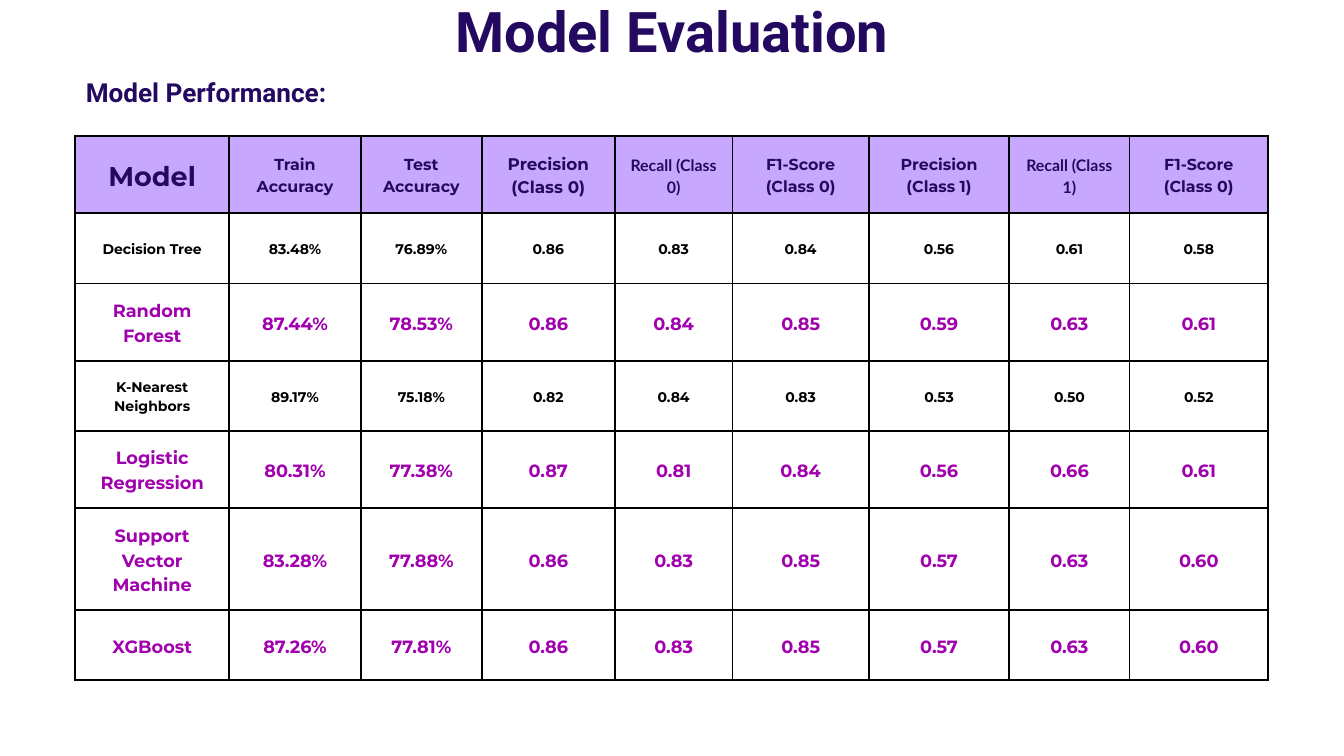
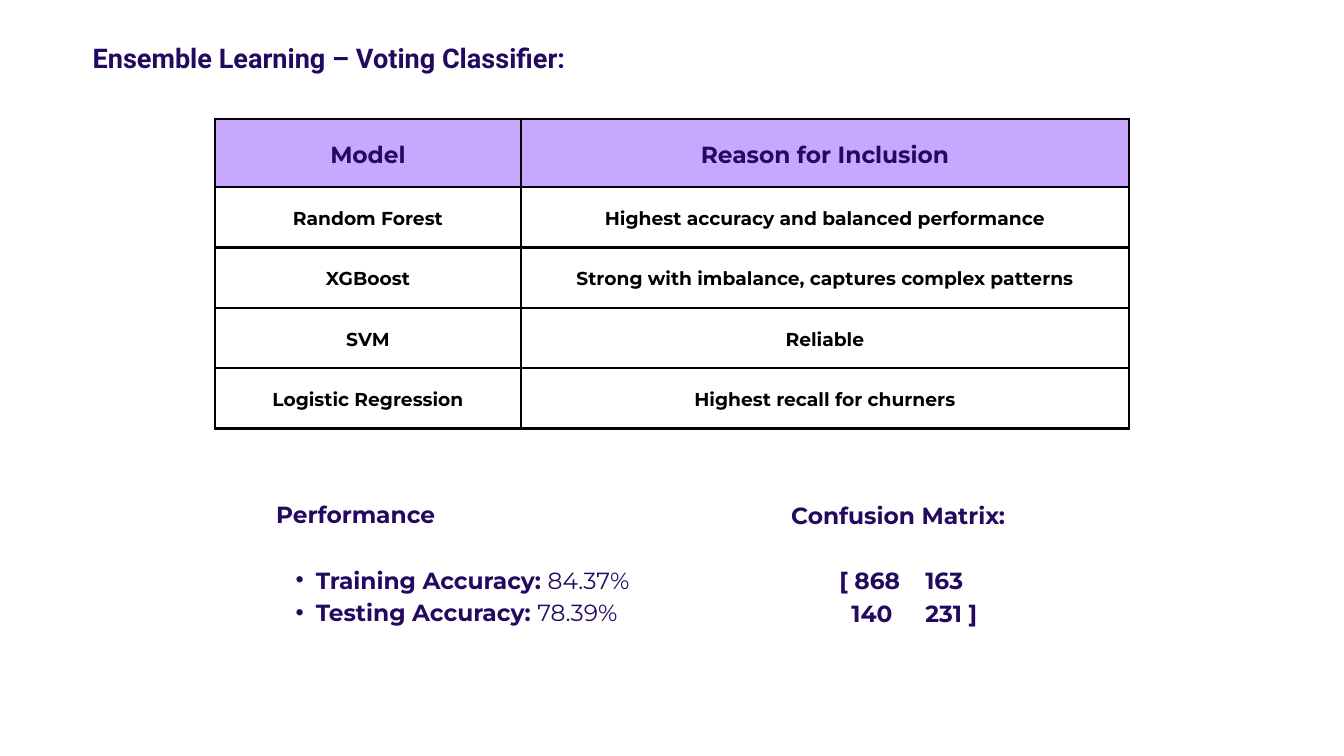
from lxml.etree import SubElement
from pptx import Presentation
from pptx.dml.color import RGBColor
from pptx.enum.text import MSO_ANCHOR, MSO_AUTO_SIZE, PP_ALIGN
from pptx.oxml.ns import qn
from pptx.util import Inches, Pt

# Shared look
NAVY = RGBColor(0x24, 0x09, 0x60)
PURPLE = RGBColor(0xA0, 0x00, 0xAE)
LILAC = RGBColor(0xC8, 0xA7, 0xFF)
BLACK = RGBColor(0, 0, 0)
WHITE = RGBColor(0xFF, 0xFF, 0xFF)
HEAD_FONT, BODY_FONT, ALT_FONT = "Roboto", "Montserrat", "Lato"
LEADING = 1.4  # line spacing as a multiple of text size


def fmt(size, color=NAVY, name=BODY_FONT, bold=True):
    return {"size": Pt(size), "color": color, "name": name, "bold": bold}


TITLE = fmt(60, name=HEAD_FONT)
HEADING = fmt(29, name=HEAD_FONT)
TEXT = fmt(25)

# Model performance: name, highlighted, values
HEADERS = ["Model", "Train Accuracy", "Test Accuracy", "Precision (Class 0)",
           "Recall (Class 0)", "F1-Score (Class 0)", "Precision (Class 1)",
           "Recall (Class 1)", "F1-Score (Class 0)"]
SCORES = [
    ("Decision Tree", False, "83.48% 76.89% 0.86 0.83 0.84 0.56 0.61 0.58"),
    ("Random Forest", True, "87.44% 78.53% 0.86 0.84 0.85 0.59 0.63 0.61"),
    ("K-Nearest Neighbors", False, "89.17% 75.18% 0.82 0.84 0.83 0.53 0.50 0.52"),
    ("Logistic Regression", True, "80.31% 77.38% 0.87 0.81 0.84 0.56 0.66 0.61"),
    ("Support Vector Machine", True, "83.28% 77.88% 0.86 0.83 0.85 0.57 0.63 0.60"),
    ("XGBoost", True, "87.26% 77.81% 0.86 0.83 0.85 0.57 0.63 0.60"),
]
REASONS = [
    ("Model", "Reason for Inclusion"),
    ("Random Forest", "Highest accuracy and balanced performance"),
    ("XGBoost", "Strong with imbalance, captures complex patterns"),
    ("SVM", "Reliable"),
    ("Logistic Regression", "Highest recall for churners"),
]


def write(p, runs, align=PP_ALIGN.CENTER, spacing=None, before=0):
    """Fill a paragraph with (text, format) runs."""
    p.alignment = align
    p.line_spacing = spacing or Pt(runs[0][1]["size"].pt * LEADING)
    p.space_before = Pt(before)
    for text, style in runs:
        r = p.add_run()
        r.text = text
        for key, value in style.items():
            if key == "color":
                r.font.color.rgb = value
            else:
                setattr(r.font, key, value)


def indent(p, left, first):
    pPr = p._p.get_or_add_pPr()
    pPr.set("marL", str(Inches(left)))
    pPr.set("indent", str(Inches(first)))
    return pPr


def place(sp, box):
    """Position a text shape and return its bare text frame."""
    sp.left, sp.top, sp.width, sp.height = map(Inches, box)
    tf = sp.text_frame
    settings = {"margin_left": 0, "margin_top": 0, "margin_right": 0,
                "margin_bottom": 0, "word_wrap": True,
                "auto_size": MSO_AUTO_SIZE.NONE, "vertical_anchor": MSO_ANCHOR.TOP}
    for key, value in settings.items():
        setattr(tf, key, value)
    return tf


def add_text(s, box):
    return place(s.shapes.add_textbox(0, 0, 0, 0), box)


def add_titled_slide(prs, text, box, style, spacing=None):
    s = prs.slides.add_slide(prs.slide_layouts[5])
    s.background.fill.solid()
    s.background.fill.fore_color.rgb = WHITE
    tf = place(s.shapes.title, box)
    write(tf.paragraphs[0], [(text, style)], spacing=spacing)
    return s


def set_borders(cell, width):
    tcPr = cell._tc.get_or_add_tcPr()
    for side in ("a:lnL", "a:lnR", "a:lnT", "a:lnB"):
        ln = SubElement(tcPr, qn(side), w=str(Pt(width)))
        fill = SubElement(ln, qn("a:solidFill"))
        SubElement(fill, qn("a:srgbClr"), val=str(BLACK))


def add_grid(s, left, top, cols, rows, cells, margin, border):
    """Bordered table with a lilac header; cells hold (text, format)."""
    table = s.shapes.add_table(len(rows), len(cols), Inches(left), Inches(top),
                               Inches(sum(cols)), Inches(sum(rows))).table
    table.first_row = table.horz_banding = False
    for col, width in zip(table.columns, cols):
        col.width = Inches(width)
    for i, (row, height) in enumerate(zip(table.rows, rows)):
        row.height = Inches(height)
        for cell, content in zip(row.cells, cells[i]):
            set_borders(cell, border)
            if i == 0:
                cell.fill.solid()
                cell.fill.fore_color.rgb = LILAC
            else:
                cell.fill.background()
            for side in ("left", "top", "right", "bottom"):
                setattr(cell, f"margin_{side}", Inches(margin))
            cell.vertical_anchor = MSO_ANCHOR.MIDDLE
            write(cell.text_frame.paragraphs[0], [content])


def header_format(text):
    if text == "Model":
        return fmt(29)
    if text.startswith("Recall"):
        return fmt(17, name=ALT_FONT)
    return fmt(18 if text == "Precision (Class 0)" else 17)


def add_performance(s, box):
    tf = add_text(s, box)
    write(tf.paragraphs[0], [("Performance", TEXT)], PP_ALIGN.LEFT)
    light = TEXT | {"bold": False}
    accuracies = [("Training Accuracy: ", "84.37%"), ("Testing Accuracy: ", "78.39%")]
    for i, (label, value) in enumerate(accuracies):
        p = tf.add_paragraph()
        write(p, [(label, TEXT), (value, light)], PP_ALIGN.LEFT,
              before=0 if i else 35)
        pPr = indent(p, 0.59, -0.3)
        SubElement(pPr, qn("a:buFont"), typeface="Arial")
        SubElement(pPr, qn("a:buChar"), char="•")


def add_confusion_matrix(s, box):
    tf = add_text(s, box)
    write(tf.paragraphs[0], [("Confusion Matrix:", TEXT)])
    # Second column lines up on a tab stop
    for text, first, before in [("[ 868\t163", 0.72, 35), ("140\t231 ]", 0.9, 0)]:
        p = tf.add_paragraph()
        write(p, [(text, TEXT)], PP_ALIGN.LEFT, before=before)
        tabs = SubElement(indent(p, 0, first), qn("a:tabLst"))
        SubElement(tabs, qn("a:tab"), pos=str(Inches(1.9)), algn="l")


def evaluation_slide(prs):
    s = add_titled_slide(prs, "Model Evaluation", (5.82, 0.28, 8.36, 0.84),
                         TITLE, Pt(48))
    tf = add_text(s, (1.12, 1.06, 3.89, 0.58))
    write(tf.paragraphs[0], [("Model Performance:", fmt(28, name=HEAD_FONT))])
    cells = [[(text, header_format(text)) for text in HEADERS]]
    for name, highlighted, values in SCORES:
        style = fmt(19, PURPLE) if highlighted else fmt(15, BLACK)
        cells.append([(text, style) for text in [name, *values.split()]])
    add_grid(s, 1.12, 2.02,
             [2.29, 1.96, 1.8, 1.98, 1.75, 2.03, 2.09, 1.79, 2.06],
             [1.15, 1.05, 1.15, 1.04, 1.15, 1.52, 1.04], cells, 0.17, 2.25)


def ensemble_slide(prs):
    s = add_titled_slide(prs, "Ensemble Learning – Voting Classifier:",
                         (1.12, 0.54, 7.56, 0.59), HEADING)
    cells = [[(text, fmt(20, BLACK) if i else TEXT) for text in row]
             for i, row in enumerate(REASONS)]
    add_grid(s, 3.2, 1.77, [4.55, 9.05], [1.01] + [0.9] * 4, cells, 0.21, 3)
    add_performance(s, (4.11, 7.38, 5.29, 1.9))
    add_confusion_matrix(s, (11.77, 7.39, 3.19, 1.89))


def main():
    prs = Presentation()
    prs.slide_width, prs.slide_height = Inches(20), Inches(11.25)
    evaluation_slide(prs)
    ensemble_slide(prs)
    prs.save("out.pptx")


if __name__ == "__main__":
    main()
